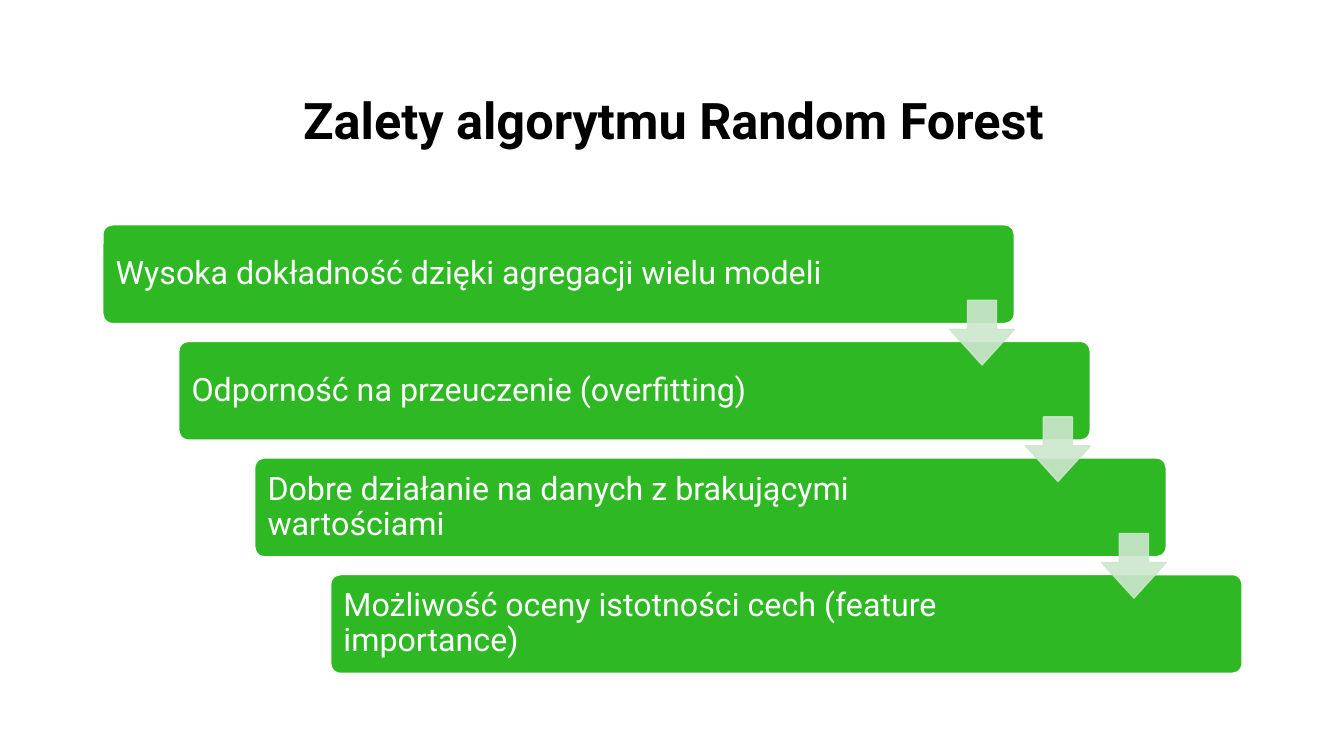
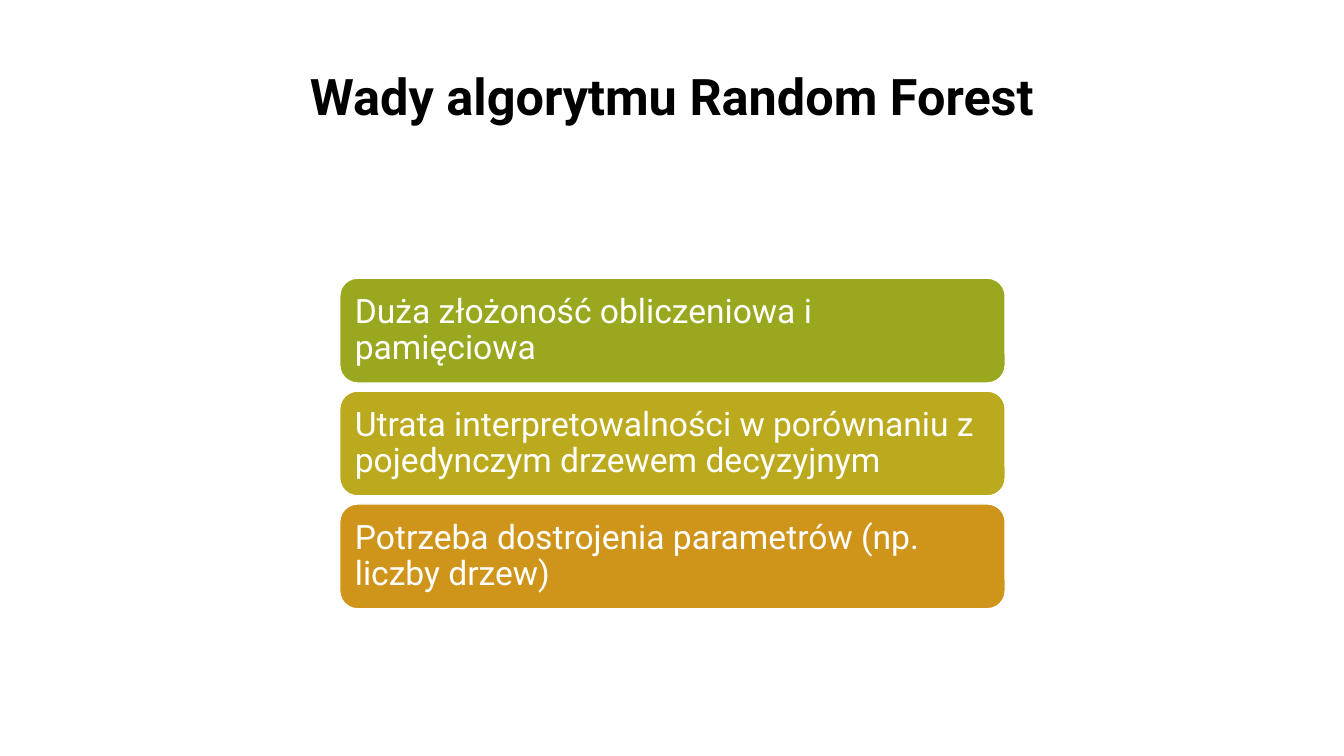
from dataclasses import dataclass

from lxml import etree
from pptx import Presentation
from pptx.dml.color import RGBColor
from pptx.enum.shapes import MSO_SHAPE
from pptx.enum.text import MSO_ANCHOR, PP_ALIGN
from pptx.oxml.ns import qn
from pptx.util import Inches, Pt

ROUNDED = MSO_SHAPE.ROUNDED_RECTANGLE
DOWN_ARROW = MSO_SHAPE.DOWN_ARROW
MIDDLE, BOTTOM = MSO_ANCHOR.MIDDLE, MSO_ANCHOR.BOTTOM
LEFT, CENTER = PP_ALIGN.LEFT, PP_ALIGN.CENTER

FONT = "Roboto"
COLORS = {
    "title": "000000",
    "white": "FFFFFF",
    "step": "2EB924",
    "arrow": "CDE6CD",
    "olive": "9AA820",
    "mustard": "BBAA1D",
    "orange": "CF951A",
}


@dataclass(frozen=True)
class Box:
    left: float
    top: float
    width: float
    height: float

    def lengths(self) -> tuple:
        return tuple(Inches(v) for v in (self.left, self.top, self.width, self.height))


@dataclass(frozen=True)
class Card:
    text: str
    box: Box
    fill: str
    size: int
    corner: float
    right_inset: float = 0.1


def rgb(name: str) -> RGBColor:
    return RGBColor.from_string(COLORS[name])


def write(frame, text: str, size: int, color: str, align, anchor, bold: bool = False) -> None:
    frame.word_wrap = True
    frame.vertical_anchor = anchor
    paragraph = frame.paragraphs[0]
    paragraph.alignment = align
    paragraph.line_spacing = 0.9
    run = paragraph.add_run()
    run.text = text
    run.font.name = FONT
    run.font.size = Pt(size)
    run.font.bold = bold
    run.font.color.rgb = rgb(color)


def add_title(slide, text: str, box: Box, anchor) -> None:
    title = slide.shapes.add_textbox(*box.lengths())
    write(title.text_frame, text, 36, "title", CENTER, anchor, bold=True)


def add_filled(slide, preset, box: Box, adjustments: tuple, fill: str, line: str):
    shape = slide.shapes.add_shape(preset, *box.lengths())
    shape.shadow.inherit = False
    for index, value in enumerate(adjustments):
        shape.adjustments[index] = value
    shape.fill.solid()
    shape.fill.fore_color.rgb = rgb(fill)
    shape.line.color.rgb = rgb(line)
    shape.line.width = Pt(1)
    return shape


def add_card(slide, card: Card) -> None:
    shape = add_filled(slide, ROUNDED, card.box, (card.corner,), card.fill, "white")
    frame = shape.text_frame
    frame.margin_left = frame.margin_top = frame.margin_bottom = Inches(0.1)
    frame.margin_right = Inches(card.right_inset)
    write(frame, card.text, card.size, "white", LEFT, MIDDLE)


def add_arrow(slide, box: Box) -> None:
    arrow = add_filled(slide, DOWN_ARROW, box, (0.45, 0.55), "arrow", "arrow")
    # Fill and outline are both 90 % opaque
    for color in arrow.element.spPr.iter(qn("a:srgbClr")):
        etree.SubElement(color, qn("a:alpha"), val="90000")


def build_advantages(slide) -> None:
    add_title(slide, "Zalety algorytmu Random Forest", Box(1.67, 0.6, 10.02, 1.24), MIDDLE)
    advantages = (
        "Wysoka dokładność dzięki agregacji wielu modeli",
        "Odporność na przeuczenie (overfitting)",
        "Dobre działanie na danych z brakującymi wartościami",
        "Możliwość oceny istotności cech (feature importance)",
    )
    # Staircase: even steps between the first and last card
    gaps = len(advantages) - 1
    step_x, step_y = (3.28 - 1.02) / gaps, (5.7 - 2.23) / gaps
    steps = [
        Box(1.02 + i * step_x, 2.23 + i * step_y, 9.04, 0.98)
        for i in range(len(advantages))
    ]
    for text, box in zip(advantages, steps):
        add_card(slide, Card(text, box, "step", 23, 0.1, right_inset=1.5))
    # Arrows from each card down to the next, flush with its right edge
    side = 0.64
    for box in steps[:-1]:
        add_arrow(slide, Box(box.left + box.width - side, box.top + 0.75, side, side))


def build_drawbacks(slide) -> None:
    add_title(slide, "Wady algorytmu Random Forest", Box(1.89, 0.55, 9.55, 0.75), BOTTOM)
    drawbacks = (
        ("Duża złożoność obliczeniowa i pamięciowa", "olive"),
        ("Utrata interpretowalności w porównaniu z pojedynczym drzewem decyzyjnym", "mustard"),
        ("Potrzeba dostrojenia parametrów (np. liczby drzew)", "orange"),
    )
    # Stacked cards at an even pitch
    for i, (text, fill) in enumerate(drawbacks):
        add_card(slide, Card(text, Box(3.37, 2.76 + i * 1.12, 6.6, 1.04), fill, 24, 0.17))


def main() -> None:
    deck = Presentation()
    deck.slide_width, deck.slide_height = Inches(13.33), Inches(7.5)
    blank = deck.slide_layouts[6]
    for build in (build_advantages, build_drawbacks):
        build(deck.slides.add_slide(blank))
    deck.save("out.pptx")


if __name__ == "__main__":
    main()
